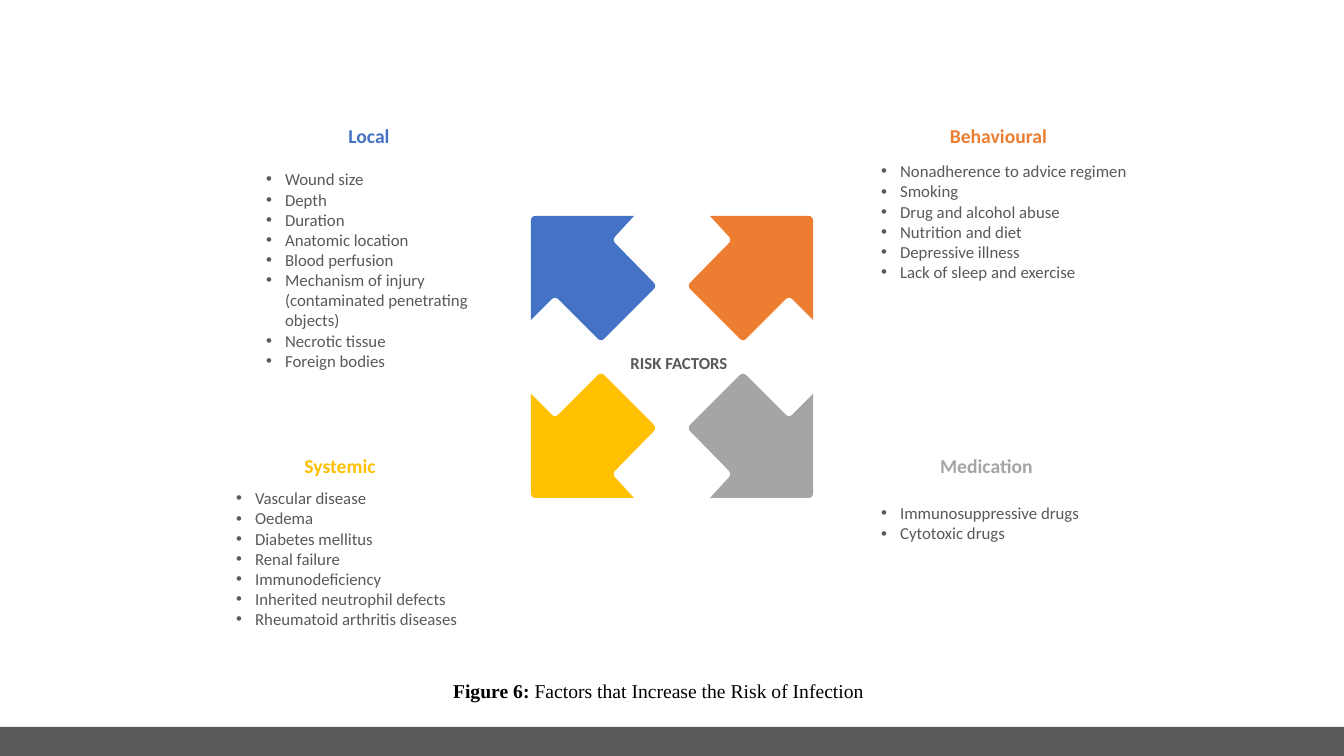
"""Build a slide showing four groups of infection risk factors around four arrows."""
import dataclasses

import lxml.etree
import pptx
import pptx.dml.color
import pptx.enum.shapes
import pptx.enum.text
import pptx.oxml.ns
import pptx.shapes.autoshape
import pptx.slide
import pptx.util

EMU_PER_PX = 914400 / 100.8
COLOURS = {
    "blue": "4472C4",
    "orange": "ED7D31",
    "yellow": "FFC000",
    "grey": "A5A5A5",
    "text": "595959",
    "black": "000000",
}
SANS = "Calibri"
SERIF = "Times New Roman"
INDENT = 19
CENTRE = (672, 357)
CORNER_CUT = 5
CURVE_STEPS = 6
ARROW_CORNERS = [(141, 141), (60, 117), (15, 71), (71, 15), (117, 61)]
ARROW_TIPS = [(38, 141), (141, 37)]
ARROW_OUTLINE = [
    ARROW_CORNERS[0], ARROW_TIPS[0], *ARROW_CORNERS[1:], ARROW_TIPS[1],
]


@dataclasses.dataclass(frozen=True)
class Box:
    """A rectangle in px."""

    left: int
    top: int
    width: int
    height: int


@dataclasses.dataclass(frozen=True)
class RiskGroup:
    """A heading, its list and the direction of its arrow."""

    heading: str
    colour: str
    heading_box: Box
    list_box: Box
    factors: list[str]
    direction: tuple[int, int]


GROUPS = [
    RiskGroup(
        "Local", "blue", Box(314, 119, 110, 34), Box(256, 164, 275, 214),
        ["Wound size", "Depth", "Duration", "Anatomic location", "Blood perfusion",
         "Mechanism of injury (contaminated penetrating objects)",
         "Necrotic tissue", "Foreign bodies"],
        (-1, -1),
    ),
    RiskGroup(
        "Behavioural", "orange", Box(931, 119, 135, 34), Box(871, 156, 292, 132),
        ["Nonadherence to advice regimen", "Smoking", "Drug and alcohol abuse",
         "Nutrition and diet", "Depressive illness", "Lack of sleep and exercise"],
        (1, -1),
    ),
    RiskGroup(
        "Systemic", "yellow", Box(285, 449, 110, 34), Box(226, 483, 292, 152),
        ["Vascular disease", "Oedema", "Diabetes mellitus", "Renal failure",
         "Immunodeficiency", "Inherited neutrophil defects",
         "Rheumatoid arthritis diseases"],
        (-1, 1),
    ),
    RiskGroup(
        "Medication", "grey", Box(924, 449, 125, 34), Box(871, 498, 292, 50),
        ["Immunosuppressive drugs", "Cytotoxic drugs"],
        (1, 1),
    ),
]


def px(length: float) -> pptx.util.Emu:
    """Turn px into EMU."""
    return pptx.util.Emu(round(length * EMU_PER_PX))


def place(shape: pptx.shapes.autoshape.Shape, box: Box) -> None:
    """Move and size a shape."""
    shape.left, shape.top = px(box.left), px(box.top)
    shape.width, shape.height = px(box.width), px(box.height)


def paint(shape: pptx.shapes.autoshape.Shape, colour: str) -> None:
    """Give a shape a plain fill without outline or shadow."""
    shape.shadow.inherit = False
    shape.fill.solid()
    shape.fill.fore_color.rgb = pptx.dml.color.RGBColor.from_string(COLOURS[colour])
    shape.line.fill.background()


def write(
    shape: pptx.shapes.autoshape.Shape,
    lines: list[str],
    *,
    size: int = 12,
    colour: str = "text",
    font: str = SANS,
    bold: bool = False,
    bold_lead: str = "",
    centred: bool = False,
    bulleted: bool = False,
) -> None:
    """Write formatted paragraphs, with an optional bold lead before each."""
    frame = shape.text_frame
    frame.word_wrap = True
    frame.auto_size = pptx.enum.text.MSO_AUTO_SIZE.NONE
    frame.vertical_anchor = pptx.enum.text.MSO_ANCHOR.TOP
    align = pptx.enum.text.PP_ALIGN
    for index, line in enumerate(lines):
        paragraph = frame.add_paragraph() if index else frame.paragraphs[0]
        paragraph.alignment = align.CENTER if centred else align.LEFT
        paragraph.space_before = pptx.util.Pt(0)
        if bulleted:
            add_bullet(paragraph)
        for text, is_bold in ((bold_lead, True), (line, bold)):
            if text:
                run = paragraph.add_run()
                run.text = text
                run.font.size = pptx.util.Pt(size)
                run.font.name = font
                run.font.bold = is_bold
                run.font.color.rgb = pptx.dml.color.RGBColor.from_string(COLOURS[colour])


def add_bullet(paragraph) -> None:
    """Give a paragraph a round bullet and a hanging indent."""
    properties = paragraph._p.get_or_add_pPr()
    properties.set("marL", str(px(INDENT)))
    properties.set("indent", str(-px(INDENT)))
    qualified = pptx.oxml.ns.qn
    lxml.etree.SubElement(properties, qualified("a:buFont"), typeface="Arial")
    lxml.etree.SubElement(properties, qualified("a:buChar"), char="•")


def rounded_outline() -> list[tuple[float, float]]:
    """Return the arrow outline with every corner but the tips rounded."""
    points = []
    for index, corner in enumerate(ARROW_OUTLINE):
        if corner in ARROW_TIPS:
            points.append(corner)
            continue
        ends = []
        for neighbour in (ARROW_OUTLINE[index - 1],
                          ARROW_OUTLINE[(index + 1) % len(ARROW_OUTLINE)]):
            dx, dy = neighbour[0] - corner[0], neighbour[1] - corner[1]
            ratio = CORNER_CUT / (dx * dx + dy * dy) ** 0.5
            ends.append((corner[0] + dx * ratio, corner[1] + dy * ratio))
        for step in range(CURVE_STEPS + 1):
            t = step / CURVE_STEPS
            points.append(tuple(
                (1 - t) ** 2 * start + 2 * t * (1 - t) * middle + t * t * end
                for start, middle, end in zip(ends[0], corner, ends[1])
            ))
    return points


def add_arrow(slide: pptx.slide.Slide, group: RiskGroup) -> None:
    """Draw the arrow that points from the centre to a group."""
    points = [
        tuple(px(middle + sign * offset)
              for middle, sign, offset in zip(CENTRE, group.direction, point))
        for point in rounded_outline()
    ]
    builder = slide.shapes.build_freeform(*points[0], scale=1.0)
    builder.add_line_segments(points[1:], close=True)
    paint(builder.convert_to_shape(), group.colour)


def add_label(slide: pptx.slide.Slide, box: Box, text: str, **style) -> None:
    """Add a centred bold text box."""
    label = slide.shapes.add_textbox(0, 0, 0, 0)
    place(label, box)
    write(label, [text], bold=True, centred=True, **style)


def main() -> None:
    """Build and save the slide."""
    presentation = pptx.Presentation()
    presentation.slide_width, presentation.slide_height = px(1344), px(756)
    slide = presentation.slides.add_slide(
        presentation.slide_layouts.get_by_name("Comparison"))
    caption, *lists = list(slide.placeholders)

    bar = slide.shapes.add_shape(pptx.enum.shapes.MSO_SHAPE.RECTANGLE, 0, 0, 0, 0)
    place(bar, Box(0, 727, 1344, 29))
    paint(bar, "text")

    for group, factor_list in zip(GROUPS, lists):
        add_arrow(slide, group)
        add_label(slide, group.heading_box, group.heading, size=14, colour=group.colour)
        place(factor_list, group.list_box)
        write(factor_list, group.factors, bulleted=True)

    add_label(slide, Box(533, 348, 292, 30), "RISK FACTORS")
    place(caption, Box(443, 674, 438, 34))
    write(caption, ["Factors that Increase the Risk of Infection"], size=14,
          colour="black", font=SERIF, bold_lead="Figure 6: ")
    presentation.save("out.pptx")


if __name__ == "__main__":
    main()
